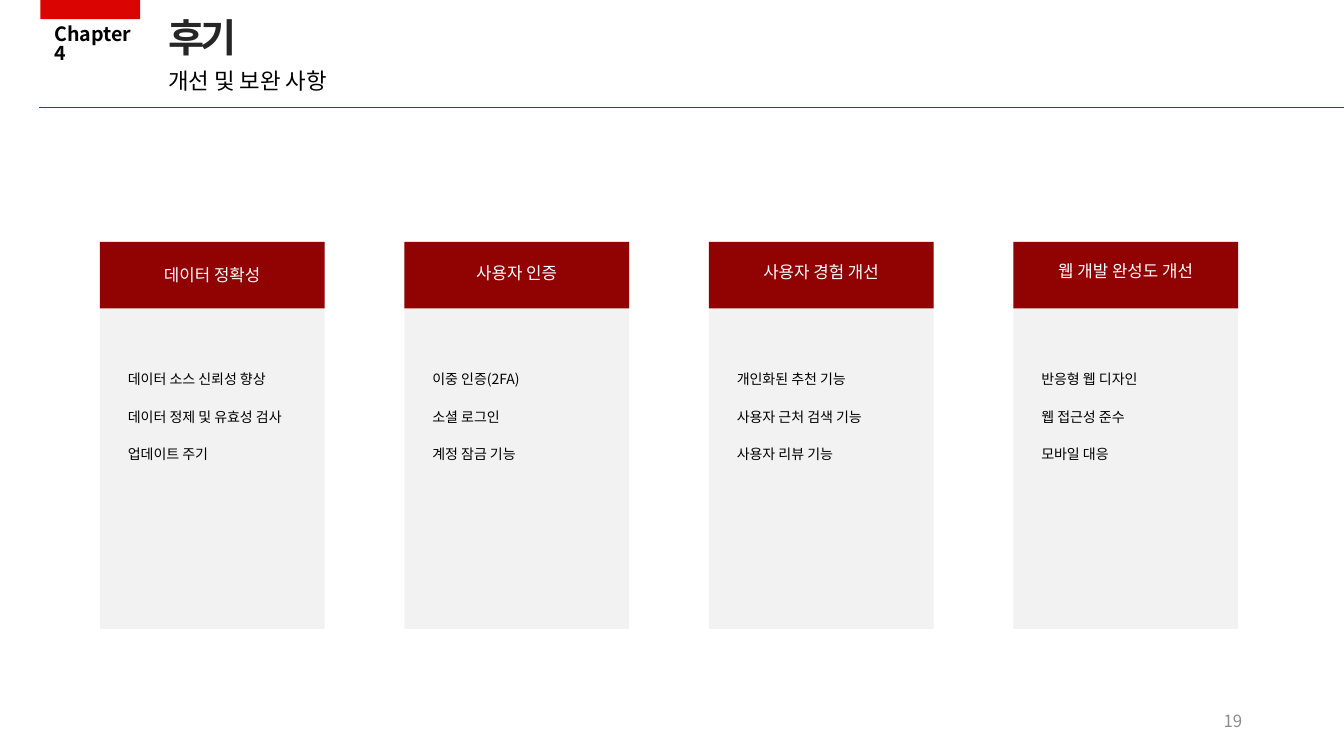
"""Builds the review slide: a chapter header above four columns of improvements."""
from lxml.etree import SubElement
from pptx import Presentation
from pptx.dml.color import RGBColor
from pptx.enum.shapes import MSO_CONNECTOR as Connector, MSO_SHAPE as Shape
from pptx.enum.text import MSO_ANCHOR as Anchor, MSO_AUTO_SIZE as AutoSize, PP_ALIGN as Align
from pptx.oxml.ns import qn
from pptx.util import Inches, Pt

COLORS = {
    "accent": "DA0503", "rule": "C70119", "header": "910302", "panel": "F2F2F2",
    "white": "FFFFFF", "black": "000000", "title": "262626", "number": "8C8C8C",
}
FONT = "Noto Sans CJK KR"
LEFT, TOP, PITCH = 0.99, 2.4, 3.02
WIDTH, HEADER_HEIGHT, PANEL_HEIGHT = 2.23, 0.66, 3.84
COLUMNS = [
    ("데이터 정확성", 0, ["데이터 소스 신뢰성 향상", "데이터 정제 및 유효성 검사", "업데이트 주기"]),
    ("사용자 인증", 0.02, ["이중 인증(2FA)", "소셜 로그인", "계정 잠금 기능"]),
    ("사용자 경험 개선", 0.03, ["개인화된 추천 기능", "사용자 근처 검색 기능", "사용자 리뷰 기능"]),
    ("웹 개발 완성도 개선", 0.04, ["반응형 웹 디자인", "웹 접근성 준수", "모바일 대응"]),
]


def add_rect(left, top, width, height, color):
    rect = slide.shapes.add_shape(Shape.RECTANGLE, *map(Inches, (left, top, width, height)))
    rect.shadow.inherit = False
    rect.fill.solid()
    rect.fill.fore_color.rgb = RGBColor.from_string(COLORS[color])
    rect.line.fill.background()
    return rect


def write(box, lines, size, color, bold=False, spacing=None, anchor=Anchor.TOP, **paragraph_format):
    frame = box.text_frame
    frame.text = "\n".join(lines)
    frame.word_wrap = True
    frame.auto_size = AutoSize.NONE
    frame.vertical_anchor = anchor
    for index, para in enumerate(frame.paragraphs):
        values = {"alignment": Align.LEFT, "line_spacing": 1.0, **paragraph_format}
        values["space_before"] = values.get("space_before", Pt(0)) if index else Pt(0)
        for name, value in values.items():
            setattr(para, name, value)
        span = para.runs[0]
        for name, value in {"name": FONT, "size": Pt(size), "bold": bold}.items():
            setattr(span.font, name, value)
        span.font.color.rgb = RGBColor.from_string(COLORS[color])
        properties = span.font._element
        SubElement(properties, qn("a:ea"), typeface=FONT)
        if spacing is not None:
            properties.set("spc", str(spacing))


deck = Presentation()
deck.slide_width, deck.slide_height = Inches(13.33), Inches(7.5)
slide = deck.slides.add_slide(deck.slide_layouts[5])

add_rect(0.4, 0, 0.99, 0.19, "accent")
rule = slide.shapes.add_connector(
    Connector.STRAIGHT, Inches(0.39), Inches(1.07), deck.slide_width, Inches(1.07)
)
rule.line.color.rgb = RGBColor.from_string(COLORS["rule"])
rule.line.width = Pt(0.5)
SubElement(rule._element.spPr, qn("a:effectLst"))

title = slide.shapes.title
for name, value in {"left": 1.57, "top": 0.08, "width": 2.31, "height": 0.66}.items():
    setattr(title, name, Inches(value))
write(title, ["후기"], 28, "title", bold=True, spacing=-300)

chapter = slide.shapes.add_textbox(*map(Inches, (0.44, 0.21, 1, 0.56)))
write(chapter, ["Chapter 4"], 14, "black", bold=True, line_spacing=0.81)
subtitle = slide.shapes.add_textbox(*map(Inches, (1.57, 0.62, 2.31, 0.37)))
write(subtitle, ["개선 및 보완 사항"], 16, "black")

for column, (heading, rise, items) in enumerate(COLUMNS):
    left = LEFT + column * PITCH
    add_rect(left, TOP, WIDTH, PANEL_HEIGHT, "panel")
    header = add_rect(left, TOP, WIDTH, HEADER_HEIGHT, "header")
    header.text_frame.margin_bottom = Inches(0.05 + 2 * rise)
    write(header, [heading], 12, "white", anchor=Anchor.MIDDLE, alignment=Align.CENTER)
    details = slide.shapes.add_textbox(*map(Inches, (left + 0.18, 3.63, WIDTH, 1.31)))
    write(details, items, 10, "black", alignment=Align.JUSTIFY, space_before=Pt(14.5))

number = slide.shapes.add_textbox(*map(Inches, (9.42, 6.95, 3, 0.4)))
write(number, ["19"], 12, "number", anchor=Anchor.MIDDLE, alignment=Align.RIGHT)

deck.save("out.pptx")
